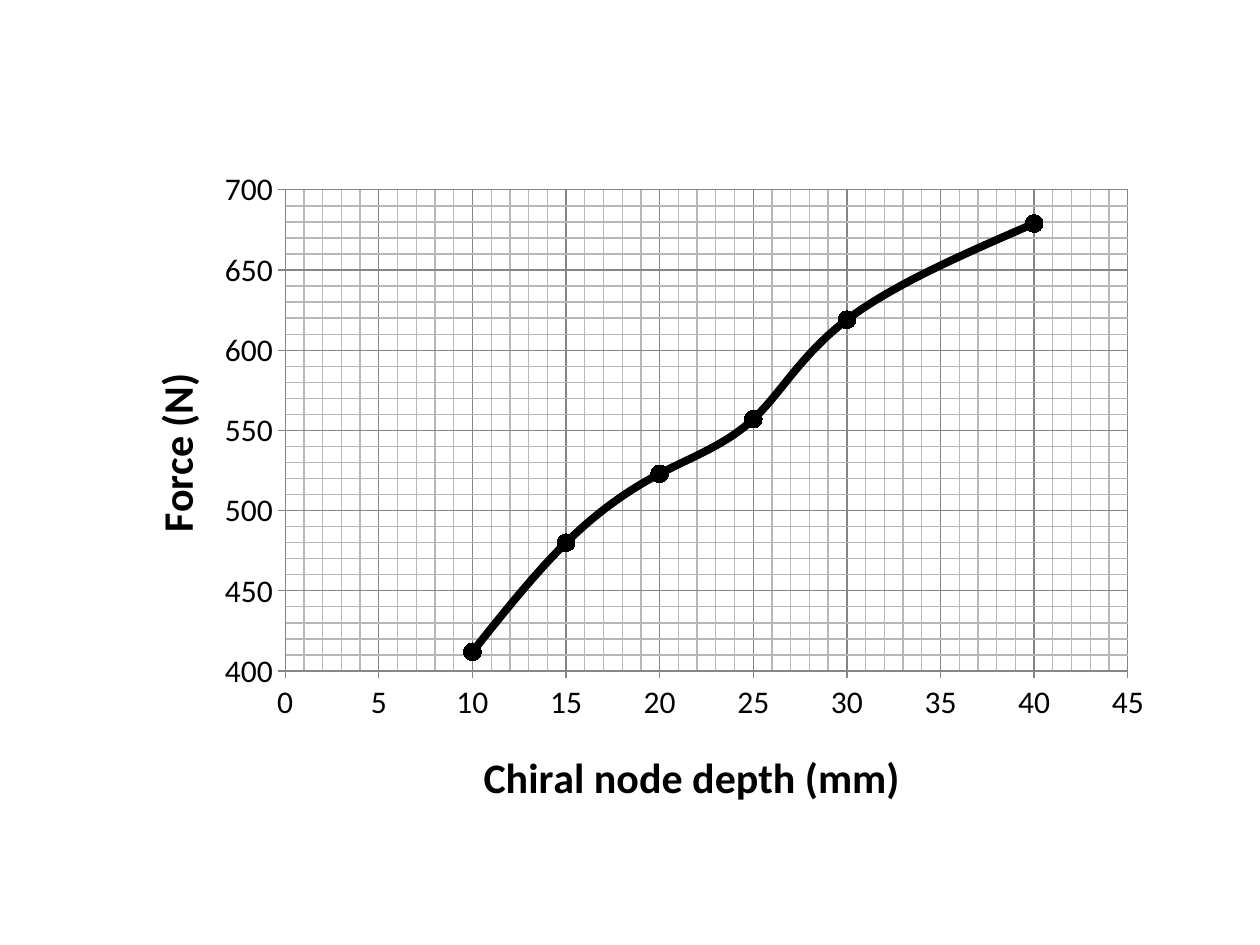
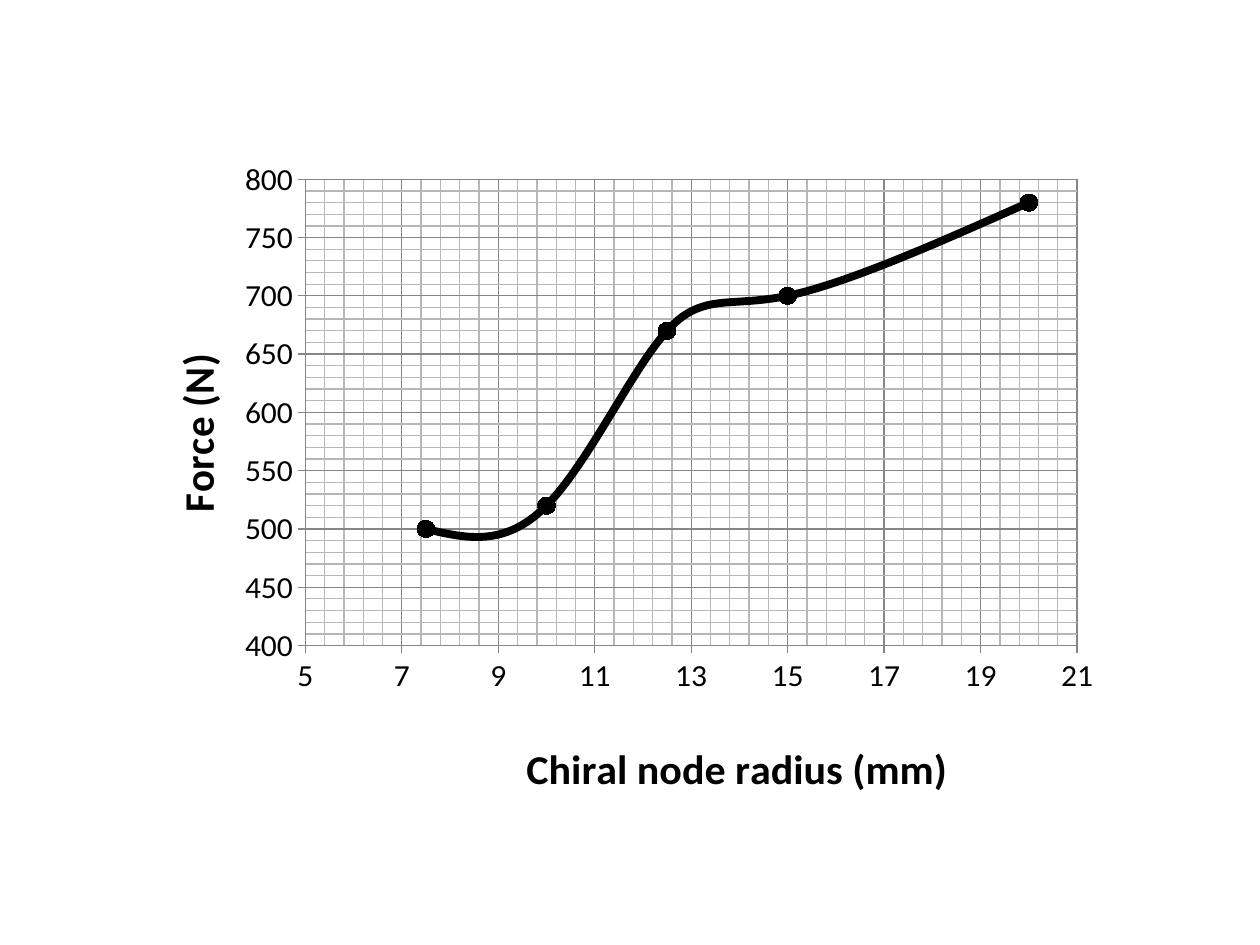
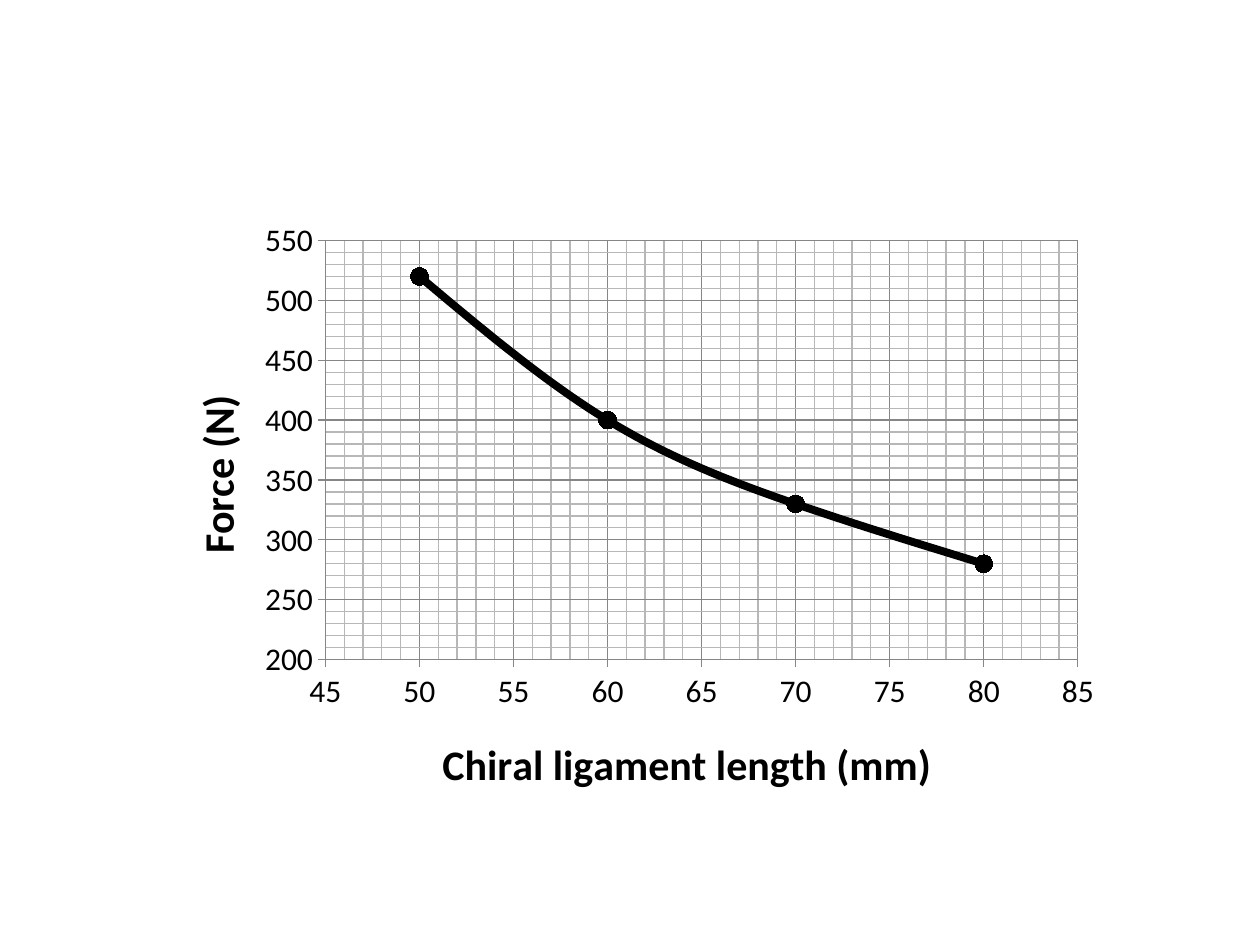
from lxml.etree import SubElement as Sub
from pptx import Presentation as Deck
from pptx.chart.data import XyChartData as Data
from pptx.dml.color import RGBColor as Rgb
from pptx.enum.chart import XL_CHART_TYPE as Kind
from pptx.enum.chart import XL_MARKER_STYLE as Mark
from pptx.enum.chart import XL_TICK_MARK as Tick
from pptx.oxml.ns import qn
from pptx.util import Pt

FONT = "Calibri"
INK = "000000"
MAJOR = "868686"
MINOR = "B7B7B7"


def paint(color, shade):
    color.rgb = Rgb.from_string(shade)


def style_font(font, size, bold=False):
    font.name = FONT
    font.size = Pt(size)
    font.bold = bold
    paint(font.color, INK)


def style_line(line, shade, width=0.75):
    line.width = Pt(width)
    paint(line.color, shade)


def style_minor(grid):
    line = Sub(Sub(grid, qn("c:spPr")), qn("a:ln"), w=str(Pt(0.75)))
    Sub(Sub(line, qn("a:solidFill")), qn("a:srgbClr"), val=MINOR)


def place(node, index, frame, spot, inner=False):
    for old in node.findall(qn("c:layout")):
        node.remove(old)
    layout = Sub(node, qn("c:layout"))
    node.insert(index, layout)
    box = Sub(layout, qn("c:manualLayout"))
    left, top, width, height = frame
    parts = {"xMode": "edge", "yMode": "edge"}
    if inner:
        parts = {"layoutTarget": "inner", **parts}
    shares = [(spot[0] - left) / width, (spot[1] - top) / height]
    shares += [size / whole for size, whole in zip(spot[2:], (width, height))]
    parts.update(zip("xywh", shares))
    for tag, val in parts.items():
        Sub(box, qn(f"c:{tag}")).set("val", str(val))


def style_axis(axis, scale, label, frame, spot, turn):
    low, high, major, minor = scale
    axis.minimum_scale, axis.maximum_scale = low, high
    axis.major_unit, axis.minor_unit = major, minor
    axis.has_major_gridlines = axis.has_minor_gridlines = True
    axis.major_tick_mark = Tick.OUTSIDE
    axis.minor_tick_mark = Tick.NONE
    style_line(axis.major_gridlines.format.line, MAJOR)
    style_line(axis.format.line, MAJOR)
    style_font(axis.tick_labels.font, 18)
    axis.tick_labels.number_format = "General"
    axis.tick_labels.number_format_is_linked = False
    title = axis.axis_title
    title.text_frame.text = label
    style_font(title.text_frame.paragraphs[0].runs[0].font, 24, True)
    body = title.element.find(".//" + qn("a:bodyPr"))
    body.set("rot", str(turn))
    body.set("vert", "horz")
    place(title.element, 1, frame, spot)


def style_curve(curve):
    style_line(curve.format.line, INK, 4.5)
    curve.marker.style = Mark.CIRCLE
    curve.marker.size = 10
    curve.marker.format.fill.solid()
    paint(curve.marker.format.fill.fore_color, INK)
    style_line(curve.marker.format.line, INK)


def add_graph(slide, frame, plot, points, wide, tall, label, foot, side):
    data = Data()
    row = data.add_series("Series 1")
    for x, y in points:
        row.add_data_point(x, y)
    chart = slide.shapes.add_chart(
        Kind.XY_SCATTER_SMOOTH, *map(Pt, frame), data).chart
    chart.has_title = chart.has_legend = False
    style_font(chart.font, 10)
    style_axis(chart.category_axis, wide, label, frame, foot, 0)
    style_axis(chart.value_axis, tall, "Force (N)", frame, side, -5400000)
    chart.plots[0].vary_by_categories = False
    style_curve(chart.plots[0].series[0])
    area = chart.element.find(".//" + qn("c:plotArea"))
    for smooth in area.iter(qn("c:smooth")):
        smooth.set("val", "1")
    for grid in area.findall(".//" + qn("c:minorGridlines")):
        style_minor(grid)
    place(area, 0, frame, plot, True)


def main():
    deck = Deck()
    deck.slide_width, deck.slide_height = Pt(720), Pt(540)
    graphs = [
        dict(label="Chiral node depth (mm)",
             frame=(60, 90, 606, 378), plot=(163, 108.5, 481.5, 275),
             points=[(10, 412), (15, 480), (20, 523),
                     (25, 557), (30, 619), (40, 679)],
             wide=(0, 45, 5, 1), tall=(400, 700, 50, 10),
             foot=(272, 424), side=(80.5, 209)),
        dict(label="Chiral node radius (mm)",
             frame=(72, 84, 564, 378), plot=(174.5, 103, 441, 274),
             points=[(7.5, 500), (10, 520), (12.5, 670),
                     (15, 700), (20, 780)],
             wide=(5, 21, 2, 0.4), tall=(400, 800, 50, 10),
             foot=(296.5, 429), side=(92.5, 203.5)),
        dict(label="Chiral ligament length (mm)",
             frame=(84, 120, 552, 341.5), plot=(186, 137.5, 430, 239.5),
             points=[(50, 520), (60, 400), (70, 330), (80, 280)],
             wide=(45, 85, 5, 1), tall=(200, 550, 50, 10),
             foot=(248.5, 416.5), side=(104, 221.5)),
    ]
    for graph in graphs:
        add_graph(deck.slides.add_slide(deck.slide_layouts[6]), **graph)
    deck.save("out.pptx")


if __name__ == "__main__":
    main()
